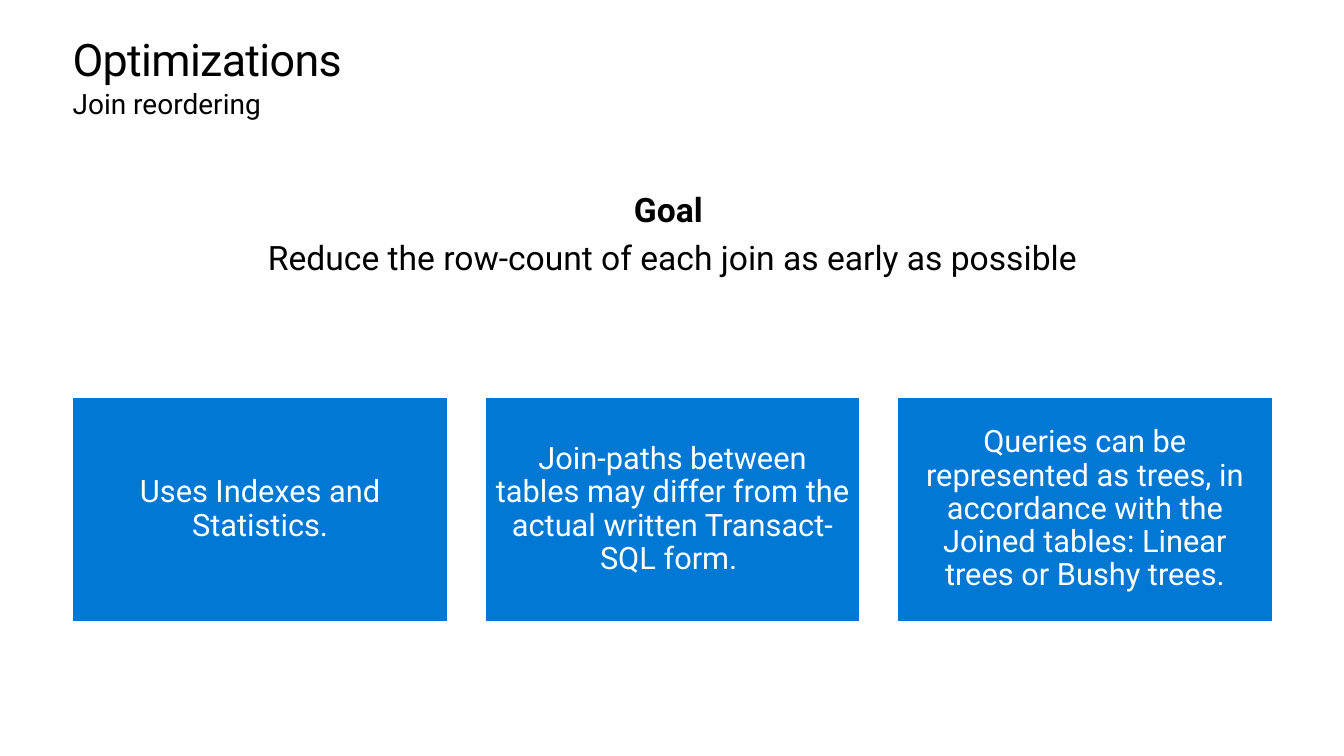
import dataclasses

import pptx
import pptx.dml.color
import pptx.enum.shapes
import pptx.enum.text
import pptx.util

ALIGN = pptx.enum.text.PP_ALIGN
ANCHOR = pptx.enum.text.MSO_ANCHOR


@dataclasses.dataclass(frozen=True)
class Theme:
    font: str = "Roboto"
    ink: str = "000000"
    paper: str = "FFFFFF"
    accent: str = "0078D4"
    title: int = 32
    subtitle: int = 20
    goal: int = 24
    card: int = 22
    outline: int = 1


class SlideBuilder:
    left, top = 0.72, 0.35
    column, gap, row = 3.72, 0.37, 0.5

    def __init__(self, page, theme):
        self.page = page
        self.theme = theme

    def place(self, column, row, columns, rows):
        pitch = self.column + self.gap
        lengths = (
            self.left + column * pitch,
            self.top + row * self.row,
            columns * pitch - self.gap,
            rows * self.row,
        )
        return [pptx.util.Inches(length) for length in lengths]

    def apply(self, target, values):
        for name, value in values.items():
            setattr(target, name, value)

    def frame(self, box, anchor, inset_x, inset_y):
        self.apply(box.text_frame, {
            "word_wrap": True,
            "vertical_anchor": anchor,
            "margin_left": pptx.util.Inches(inset_x),
            "margin_right": pptx.util.Inches(inset_x),
            "margin_top": pptx.util.Inches(inset_y),
            "margin_bottom": pptx.util.Inches(inset_y),
        })

    def add_text(self, para, text, size, color, bold=False, tracking=None, **layout):
        self.apply(para, layout)
        span = para.add_run()
        span.text = text
        self.apply(span.font, {
            "name": self.theme.font,
            "size": pptx.util.Pt(size),
            "bold": bold,
        })
        span.font.color.rgb = pptx.dml.color.RGBColor.from_string(color)
        if tracking is not None:
            span._r.get_or_add_rPr().set("spc", str(round(tracking * 100)))

    def heading(self, text, row, size, **style):
        box = self.page.shapes.add_textbox(*self.place(0, row, 3, 1))
        self.frame(box, ANCHOR.TOP, 0, 0)
        self.add_text(box.text_frame.paragraphs[0], text, size, self.theme.ink, **style)

    def goal(self, label, statement):
        box = self.page.shapes.add_textbox(*self.place(0.43, 3.04, 2.14, 1.94))
        self.frame(box, ANCHOR.TOP, 0.1, 0.05)
        paras = box.text_frame.paragraphs[0], box.text_frame.add_paragraph()
        for para, text, bold in zip(paras, (label, statement), (True, False)):
            self.add_text(
                para, text, self.theme.goal, self.theme.ink, bold=bold,
                alignment=ALIGN.CENTER, line_spacing=0.9,
                space_after=pptx.util.Pt(0.35 * self.theme.goal),
            )

    def card(self, column, text):
        box = self.page.shapes.add_shape(
            pptx.enum.shapes.MSO_SHAPE.RECTANGLE, *self.place(column, 7.18, 1, 4.46)
        )
        box.shadow.inherit = False
        box.fill.solid()
        box.fill.fore_color.rgb = pptx.dml.color.RGBColor.from_string(self.theme.accent)
        box.line.color.rgb = pptx.dml.color.RGBColor.from_string(self.theme.paper)
        box.line.width = pptx.util.Pt(self.theme.outline)
        self.frame(box, ANCHOR.MIDDLE, 0.09, 0.09)
        self.add_text(
            box.text_frame.paragraphs[0], text, self.theme.card, self.theme.paper,
            alignment=ALIGN.CENTER, line_spacing=0.9,
        )


def main():
    deck = pptx.Presentation()
    deck.slide_width = pptx.util.Inches(13.33)
    deck.slide_height = pptx.util.Inches(7.5)
    theme = Theme()
    slide = SlideBuilder(deck.slides.add_slide(deck.slide_layouts[6]), theme)

    cards = (
        "Uses Indexes and Statistics.",
        "Join-paths between tables may differ from the actual written Transact-SQL form. ",
        "Queries can be represented as trees, in accordance with the Joined tables: "
        "Linear trees or Bushy trees.",
    )
    for column, text in enumerate(cards):
        slide.card(column, text)

    slide.heading(
        "Optimizations", 0, theme.title, tracking=-0.5, line_spacing=pptx.util.Pt(36.2)
    )
    slide.heading("Join reordering", 1.02, theme.subtitle)
    slide.goal("Goal ", "Reduce the row-count of each join as early as possible")
    deck.save("out.pptx")


if __name__ == "__main__":
    main()
